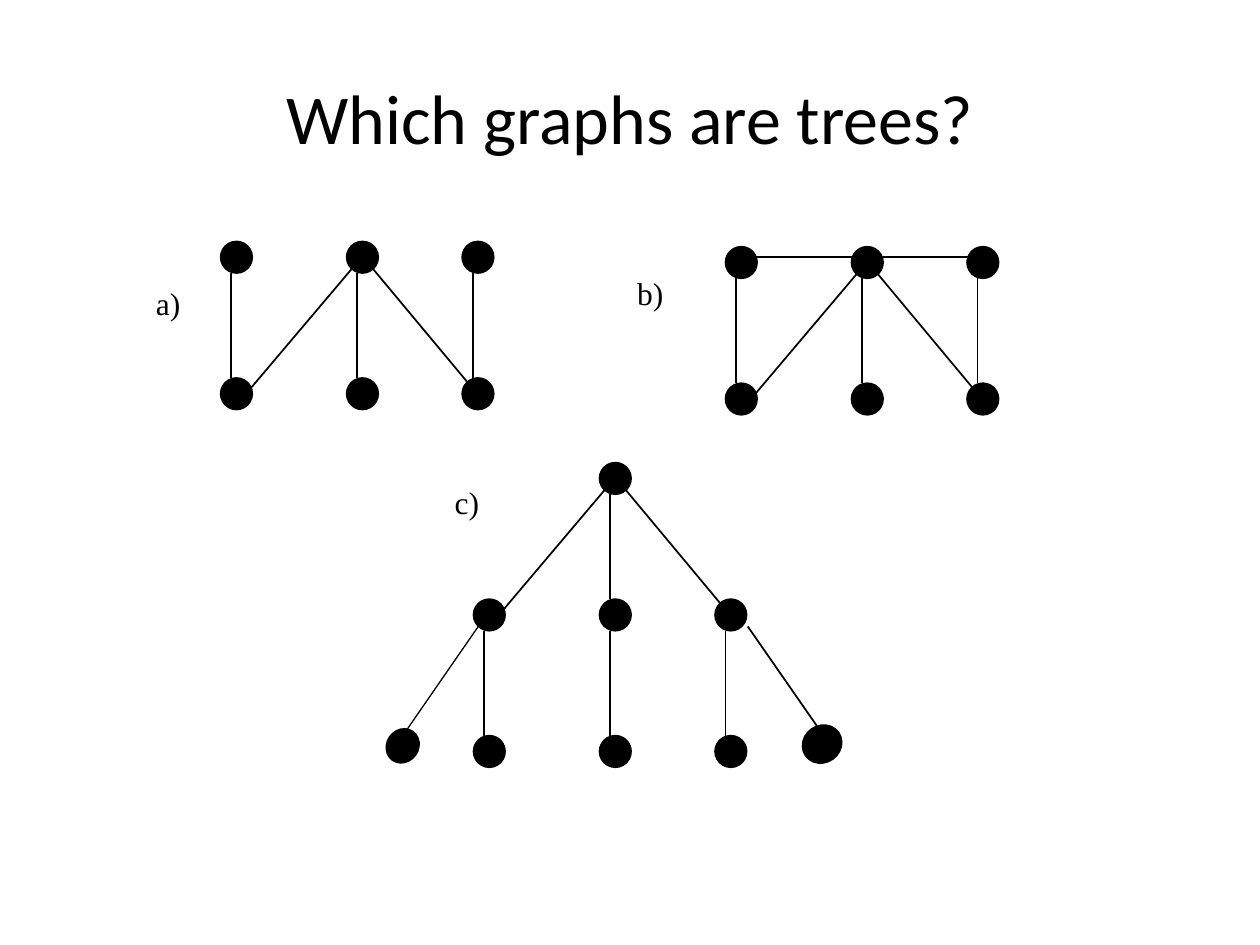
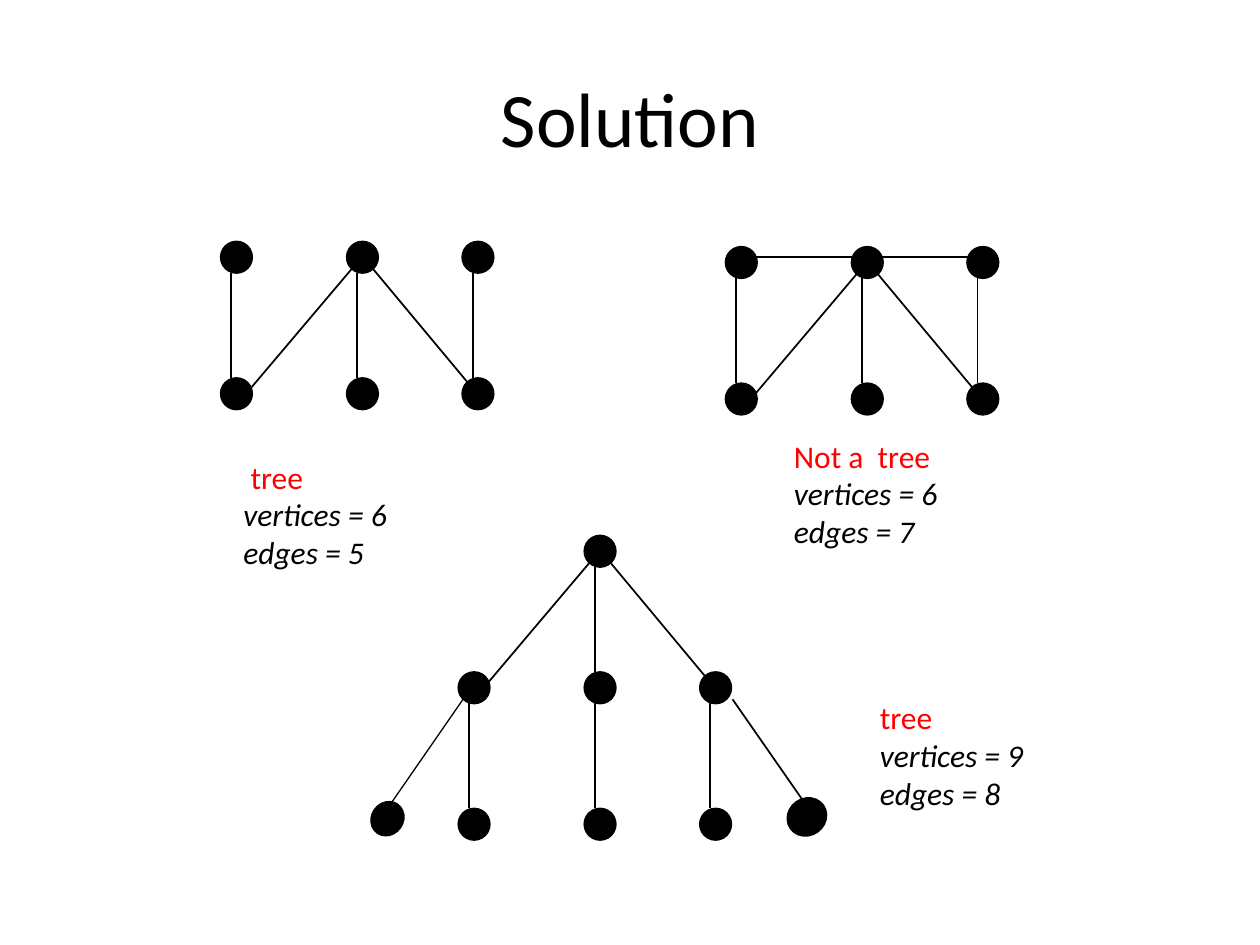
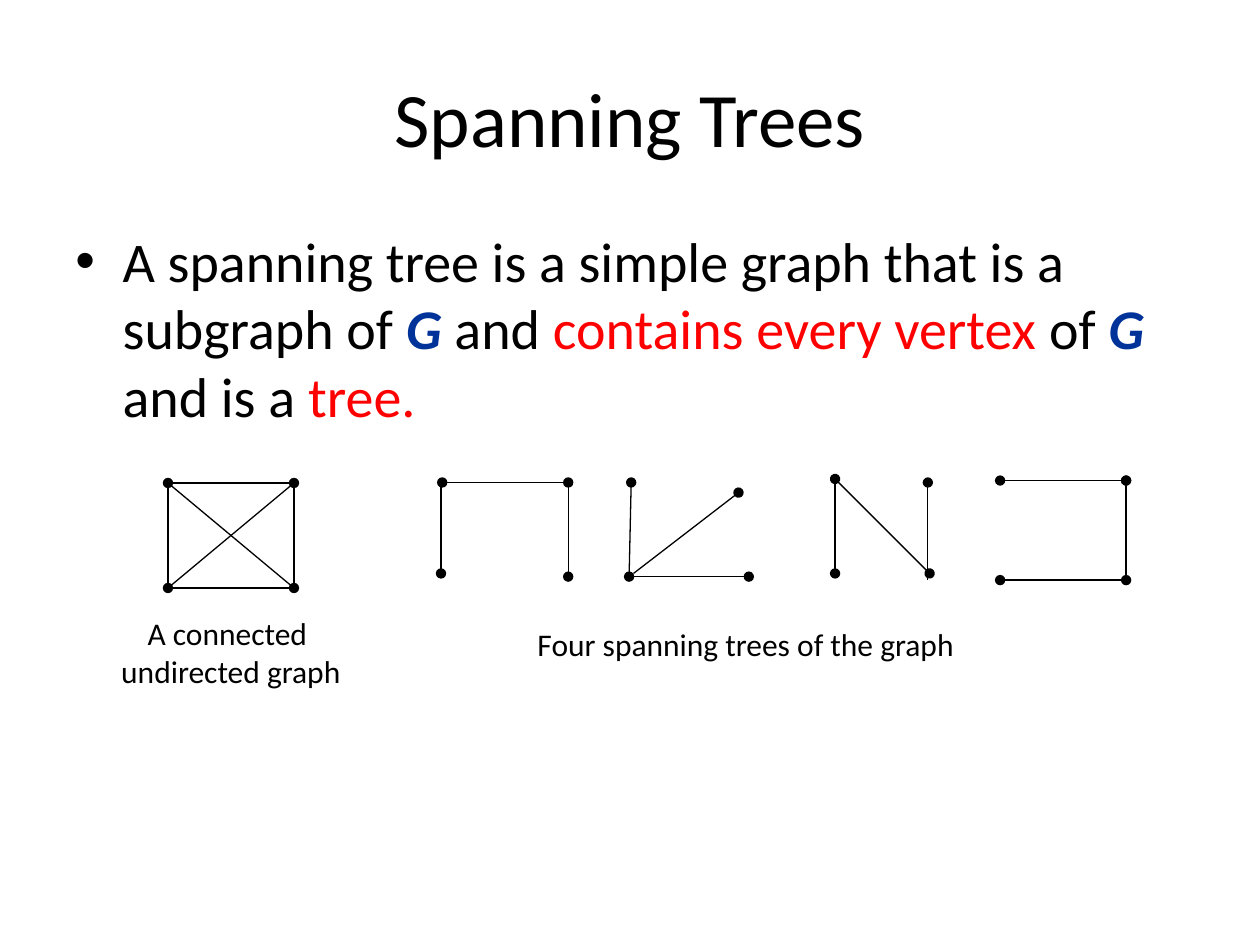
"""Builds three slides on trees and spanning trees."""
from pptx import Presentation
from pptx.dml.color import RGBColor
from pptx.enum.shapes import MSO_CONNECTOR as CONNECTOR, MSO_SHAPE as SHAPE
from pptx.enum.text import MSO_ANCHOR as ANCHOR, MSO_AUTO_SIZE as AUTO_SIZE, PP_ALIGN as ALIGN
from pptx.oxml.ns import qn
from pptx.util import Pt

BLACK, RED, BLUE = "000000", "FF0000", "003399"
SANS, SERIF = "Calibri", "Times New Roman"
DOT = 18
COLUMNS = (0, 72, 138)
ROW_STEP = 78
EDGE_INSET = 6
FAN = [(84, 12, 144, 84), (78, 12, 12, 90)]

ZIGZAG = {
    "dots": [(column, row) for column in range(3) for row in range(2)],
    "spokes": [(column, 0) for column in range(3)],
    "edges": FAN,
}
CLOSED = {**ZIGZAG, "edges": FAN + [(12, 6, 144, 6)]}
ROOTED = {
    "dots": [(1, 0)] + [(column, row) for column in range(3) for row in (1, 2)],
    "spokes": [(1, 0)] + [(column, 1) for column in range(3)],
    "edges": FAN + [(156.7, 93.6, 196.2, 150.4)],
    "thin_edges": [(2.7, 93.6, -46, 164)],
    "leaves": [(187.7, 150.3, 23, 21, 324.8), (-49.5, 151.8, 18, 20, 35.2)],
}
TOP_GRAPHS = [(ZIGZAG, 126.1, 138), (CLOSED, 414.6, 141)]
QUESTION_GRAPHS = TOP_GRAPHS + [(ROOTED, 270.6, 264.4)]
SOLUTION_GRAPHS = TOP_GRAPHS + [(ROOTED, 261.9, 306)]

LABELS = [("a)", 82, 159), ("b)", 357, 153), ("c)", 252.8, 272.6)]
LABEL_WIDTH = 30
VERDICTS = [
    ("tree", 6, 5, 132, 258, 4.1),
    ("Not a  tree", 6, 7, 446.6, 246, 0),
    ("tree", 9, 8, 495.7, 395.5, 0),
]

DEFINITION = [
    ("A spanning tree is a simple graph that is a subgraph of ", BLACK, False),
    ("G", BLUE, True),
    (" and ", BLACK, False),
    ("contains every vertex ", RED, False),
    ("of ", BLACK, False),
    ("G", BLUE, True),
    (" and is a ", BLACK, False),
    ("tree.", RED, False),
]
CONNECTED_GRAPH = [
    (96, 276, 168, 276, "both"),
    (96, 336, 168, 336, "both"),
    (96, 276, 96, 336, ""),
    (168, 276, 168, 336, ""),
    (96, 276, 168, 336, ""),
    (168, 276, 96, 336, ""),
]
SPANNING_TREES = [
    (252.7, 275.7, 324.7, 275.7, "both"),
    (252, 273.7, 252, 327.7, "tail"),
    (324.7, 275.7, 324.7, 329.5, "tail"),
    (360.7, 275.7, 359.5, 329.5, "both"),
    (362, 329.5, 427.9, 329.5, "tail"),
    (362, 327.7, 422, 281.5, "tail"),
    (477.2, 273.7, 477.2, 327.7, "tail"),
    (477.2, 273.7, 531.2, 327.7, "both"),
    (530.2, 275.7, 530.2, 331.2, "head"),
    (643.5, 274.6, 643.5, 330.5, "head"),
    (571.5, 274.6, 643.5, 274.6, "both"),
    (571.5, 331.5, 643.5, 331.5, "both"),
]
OVAL_ENDS = {"": (), "head": ("headEnd",), "tail": ("tailEnd",), "both": ("headEnd", "tailEnd")}
CAPTIONS = [
    (("A connected ", "undirected graph"), 59.2, 347.4, 145.5, 51),
    (("Four spanning trees of the graph",), 275.3, 353.5, 301.7, 29),
]


def color(value):
    return RGBColor.from_string(value)


def style(font, size, name=SANS, fill=BLACK, italic=False):
    font.size, font.name, font.italic = Pt(size), name, italic
    font.color.rgb = color(fill)


def add_text(slide, lines, left, top, width, height, size=18, name=SANS, align=ALIGN.LEFT):
    box = slide.shapes.add_textbox(Pt(left), Pt(top), Pt(width), Pt(height))
    frame = box.text_frame
    frame.word_wrap = False
    frame.auto_size = AUTO_SIZE.SHAPE_TO_FIT_TEXT
    frame.text = "\n".join(lines)
    for paragraph in frame.paragraphs:
        paragraph.alignment = align
        style(paragraph.font, size, name)
    return frame


def add_title(slide, text, size=44):
    frame = add_text(slide, [text], 36, 21.6, 648, 90, size, align=ALIGN.CENTER)
    frame.auto_size = AUTO_SIZE.NONE
    frame.word_wrap = True
    frame.vertical_anchor = ANCHOR.MIDDLE


def add_line(group, x1, y1, x2, y2, width, ends=""):
    line = group.shapes.add_connector(CONNECTOR.STRAIGHT, Pt(x1), Pt(y1), Pt(x2), Pt(y2))
    line.line.color.rgb = color(BLACK)
    line.line.width = Pt(width)
    outline = line.line._get_or_add_ln()
    for end in OVAL_ENDS[ends]:
        outline.append(outline.makeelement(qn(f"a:{end}"), {"type": "oval"}))
    properties = line._element.spPr
    properties.append(properties.makeelement(qn("a:effectLst"), {}))


def add_dot(group, left, top, width=DOT, height=DOT, rotation=0):
    dot = group.shapes.add_shape(SHAPE.OVAL, Pt(left), Pt(top), Pt(width), Pt(height))
    dot.rotation = rotation
    dot.shadow.inherit = False
    dot.fill.solid()
    dot.fill.fore_color.rgb = color(BLACK)
    dot.line.color.rgb = color(BLACK)
    dot.line.width = Pt(1)


def add_graph(slide, graph, left, top):
    group = slide.shapes.add_group_shape()
    for column, row in graph["dots"]:
        add_dot(group, left + COLUMNS[column], top + row * ROW_STEP)
    for x, y, width, height, rotation in graph.get("leaves", []):
        add_dot(group, left + x, top + y, width, height, rotation)
    for column, row in graph["spokes"]:
        x, y = left + COLUMNS[column] + EDGE_INSET, top + row * ROW_STEP
        add_line(group, x, y + DOT, x, y + ROW_STEP, 1)
    for key, width in (("edges", 1), ("thin_edges", 0.75)):
        for x1, y1, x2, y2 in graph.get(key, []):
            add_line(group, left + x1, top + y1, left + x2, top + y2, width)


def add_verdict(slide, verdict, vertices, edges, left, top, indent):
    lines = [verdict, f"vertices = {vertices}", f"edges = {edges}"]
    first, *counts = add_text(slide, lines, left, top, 100, 94.5).paragraphs
    first._p.get_or_add_pPr().set("marL", str(Pt(indent)))
    first.font.color.rgb = color(RED)
    for paragraph in counts:
        paragraph.font.italic = True


def add_definition(slide):
    frame = add_text(slide, [""], 36, 126, 648, 356.4, 32)
    frame.auto_size = AUTO_SIZE.NONE
    frame.word_wrap = True
    paragraph = frame.paragraphs[0]
    properties = paragraph._p.get_or_add_pPr()
    properties.set("marL", str(Pt(27)))
    properties.set("indent", str(Pt(-27)))
    bullet_font = properties.makeelement(qn("a:buFont"), {"typeface": "Arial"})
    bullet = properties.makeelement(qn("a:buChar"), {"char": "•"})
    properties.insert(0, bullet_font)
    properties.insert(1, bullet)
    for text, fill, strong in DEFINITION:
        run = paragraph.add_run()
        run.text = text
        style(run.font, 32, fill=fill, italic=strong)
        run.font.bold = strong


def main():
    presentation = Presentation()
    presentation.slide_width, presentation.slide_height = Pt(720), Pt(540)
    blank = presentation.slide_layouts[6]
    question, solution, spanning = (presentation.slides.add_slide(blank) for _ in range(3))

    add_title(question, "Which graphs are trees?", 40)
    for graph in QUESTION_GRAPHS:
        add_graph(question, *graph)
    for text, left, top in LABELS:
        add_text(question, [text], left, top, LABEL_WIDTH, 29, name=SERIF)

    add_title(solution, "Solution")
    for graph in SOLUTION_GRAPHS:
        add_graph(solution, *graph)
    for verdict in VERDICTS:
        add_verdict(solution, *verdict)

    add_title(spanning, "Spanning Trees")
    add_definition(spanning)
    for lines in (CONNECTED_GRAPH, SPANNING_TREES):
        group = spanning.shapes.add_group_shape()
        for x1, y1, x2, y2, ends in lines:
            add_line(group, x1, y1, x2, y2, 0.75, ends)
    for caption in CAPTIONS:
        add_text(spanning, *caption, align=ALIGN.CENTER)

    presentation.save("out.pptx")


if __name__ == "__main__":
    main()
